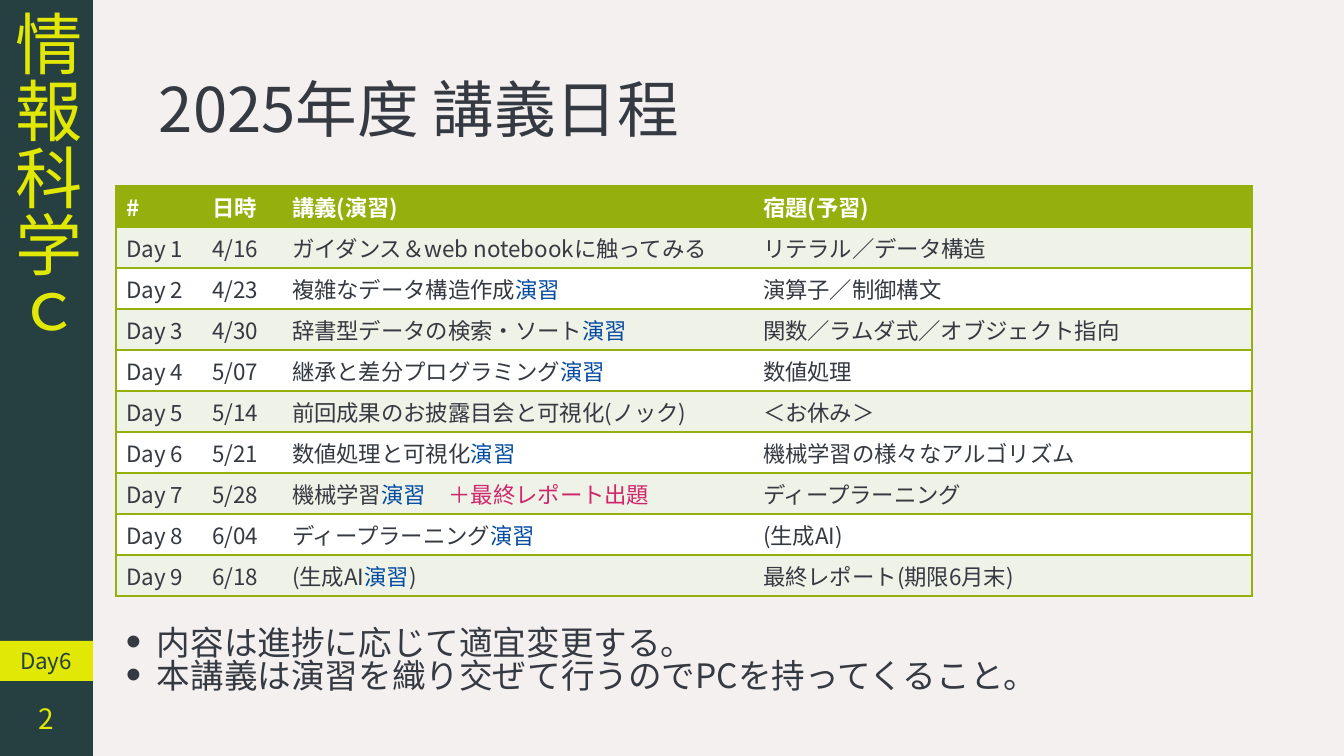
from lxml.etree import SubElement
from pptx import Presentation
from pptx.dml.color import RGBColor
from pptx.enum.shapes import MSO_SHAPE
from pptx.enum.text import MSO_ANCHOR, MSO_AUTO_SIZE, PP_ALIGN
from pptx.oxml.ns import qn
from pptx.util import Pt

FONT = "Noto Sans CJK JP"
COLORS = {
    "page": "F4F0F0", "side": "263F41", "accent": "E0E804", "text": "353941",
    "green": "95B00D", "band": "EFF2E7", "white": "FFFFFF",
    "blue": "034AA1", "pink": "CE276C",
}
COURSE = "情報科学ｃ"
TITLE = "2025年度 講義日程"
DAY = "Day6"
PAGE_NUMBER = "2"
NOTES = [
    "内容は進捗に応じて適宜変更する。",
    "本講義は演習を織り交ぜて行うのでPCを持ってくること。",
]
HEADER = ("#", "日時", ["講義(演習)"], "宿題(予習)")
PRACTICE = ("演習", "blue")
# date, lecture spans (plain text or text with its colour), homework
LECTURES = [
    ("4/16", ["ガイダンス＆web notebookに触ってみる"], "リテラル／データ構造"),
    ("4/23", ["複雑なデータ構造作成", PRACTICE], "演算子／制御構文"),
    ("4/30", ["辞書型データの検索・ソート", PRACTICE], "関数／ラムダ式／オブジェクト指向"),
    ("5/07", ["継承と差分プログラミング", PRACTICE], "数値処理"),
    ("5/14", ["前回成果のお披露目会と可視化(ノック)"], "＜お休み＞"),
    ("5/21", ["数値処理と可視化", PRACTICE], "機械学習の様々なアルゴリズム"),
    ("5/28", ["機械学習", ("演習　", "blue"), ("＋最終レポート出題", "pink")],
     "ディープラーニング"),
    ("6/04", ["ディープラーニング", PRACTICE], "(生成AI)"),
    ("6/18", ["(生成AI", PRACTICE, ")"], "最終レポート(期限6月末)"),
]
COLUMN_WIDTHS = (86, 80, 471, 499)
ROW_HEIGHT = 41
TABLE_LEFT, TABLE_TOP = 116, 186
SIDE_WIDTH = 93
NO_GRID_STYLE = "{2D5ABB26-0587-4C30-8999-92F81FD0307C}"
EMU_PER_PX = 914400 / 100.8


def px(length):
    return round(length * EMU_PER_PX)


def color(name):
    return RGBColor.from_string(COLORS[name])


def style(span, size, color_name, bold=False):
    font = span.font
    font.name, font.size, font.bold = FONT, Pt(size), bold
    font.color.rgb = color(color_name)
    SubElement(font._element, qn("a:ea"), typeface=FONT)


def write(box, lines, size, color_name, align=PP_ALIGN.LEFT,
          anchor=MSO_ANCHOR.MIDDLE):
    frame = box.text_frame
    frame.word_wrap = True
    frame.vertical_anchor = anchor
    frame.text = "\n".join(lines)
    for para in frame.paragraphs:
        para.alignment = align
        style(para.runs[0], size, color_name)
    return frame


def add_panel(page, top, height, fill):
    panel = page.shapes.add_shape(
        MSO_SHAPE.RECTANGLE, 0, px(top), px(SIDE_WIDTH), px(height))
    panel.shadow.inherit = False
    panel.fill.solid()
    panel.fill.fore_color.rgb = color(fill)
    panel.line.fill.background()
    return panel


def add_text_box(page, *bounds):
    return page.shapes.add_textbox(*map(px, bounds))


def add_bullet(para):
    properties = para._p.get_or_add_pPr()
    properties.set("marL", str(px(31)))
    properties.set("indent", str(-px(31)))
    SubElement(properties, qn("a:buSzPct"), val="130000")
    SubElement(properties, qn("a:buFont"), typeface="Arial")
    SubElement(properties, qn("a:buChar"), char="•")


def add_border(cell, side):
    line = SubElement(cell._tc.get_or_add_tcPr(), qn(f"a:ln{side}"), w=str(Pt(1)))
    fill = SubElement(line, qn("a:solidFill"))
    SubElement(fill, qn("a:srgbClr"), val=COLORS["green"])


def add_schedule(page):
    rows = [HEADER]
    rows += [(f"Day {day}", *lecture) for day, lecture in enumerate(LECTURES, 1)]
    last = len(COLUMN_WIDTHS) - 1
    frame = page.shapes.add_table(
        len(rows), len(COLUMN_WIDTHS), px(TABLE_LEFT), px(TABLE_TOP),
        px(sum(COLUMN_WIDTHS)), px(ROW_HEIGHT * len(rows)))
    table = frame.table
    table._tbl.tblPr.find(qn("a:tableStyleId")).text = NO_GRID_STYLE
    for column, width in zip(table.columns, COLUMN_WIDTHS):
        column.width = px(width)
    for r, row in enumerate(rows):
        table.rows[r].height = px(ROW_HEIGHT)
        is_header = r == 0
        text_color = "white" if is_header else "text"
        background = "green" if is_header else ("white", "band")[r % 2]
        for c, content in enumerate(row):
            cell = table.cell(r, c)
            sides = ["L"] * (c == 0) + ["R"] * (c == last) + ["T", "B"]
            for side in sides:
                add_border(cell, side)
            cell.fill.solid()
            cell.fill.fore_color.rgb = color(background)
            para = cell.text_frame.paragraphs[0]
            for part in [content] if isinstance(content, str) else content:
                text, name = (part, text_color) if isinstance(part, str) else part
                span = para.add_run()
                span.text = text
                style(span, 16, name, is_header)


def build():
    deck = Presentation()
    deck.slide_width, deck.slide_height = px(1344), px(756)
    page = deck.slides.add_slide(deck.slide_layouts[6])
    page.background.fill.solid()
    page.background.fill.fore_color.rgb = color("page")

    sidebar = add_panel(page, 0, 756, "side")
    frame = write(sidebar, [COURSE], 48, "accent", PP_ALIGN.CENTER)
    frame._txBody.bodyPr.set("vert", "eaVert")
    frame.margin_left = frame.margin_right = 0

    title = add_text_box(page, 149, 40, 1102, 146)
    write(title, [TITLE], 44, "text").paragraphs[0].line_spacing = 0.9

    add_schedule(page)

    day = add_panel(page, 641, 40, "accent")
    frame = write(day, [DAY], 16, "side")
    frame.margin_left, frame.margin_right = px(20), 0

    number = add_text_box(page, 0, 681, SIDE_WIDTH, 75)
    frame = write(number, [PAGE_NUMBER], 20, "accent", PP_ALIGN.RIGHT)
    frame.margin_right = px(39)

    notes = add_text_box(page, TABLE_LEFT, 624, 1188, 92)
    frame = write(notes, NOTES, 24, "text", anchor=MSO_ANCHOR.TOP)
    frame.auto_size = MSO_AUTO_SIZE.SHAPE_TO_FIT_TEXT
    for para in frame.paragraphs:
        add_bullet(para)
        para.line_spacing = 0.82

    deck.save("out.pptx")


if __name__ == "__main__":
    build()
